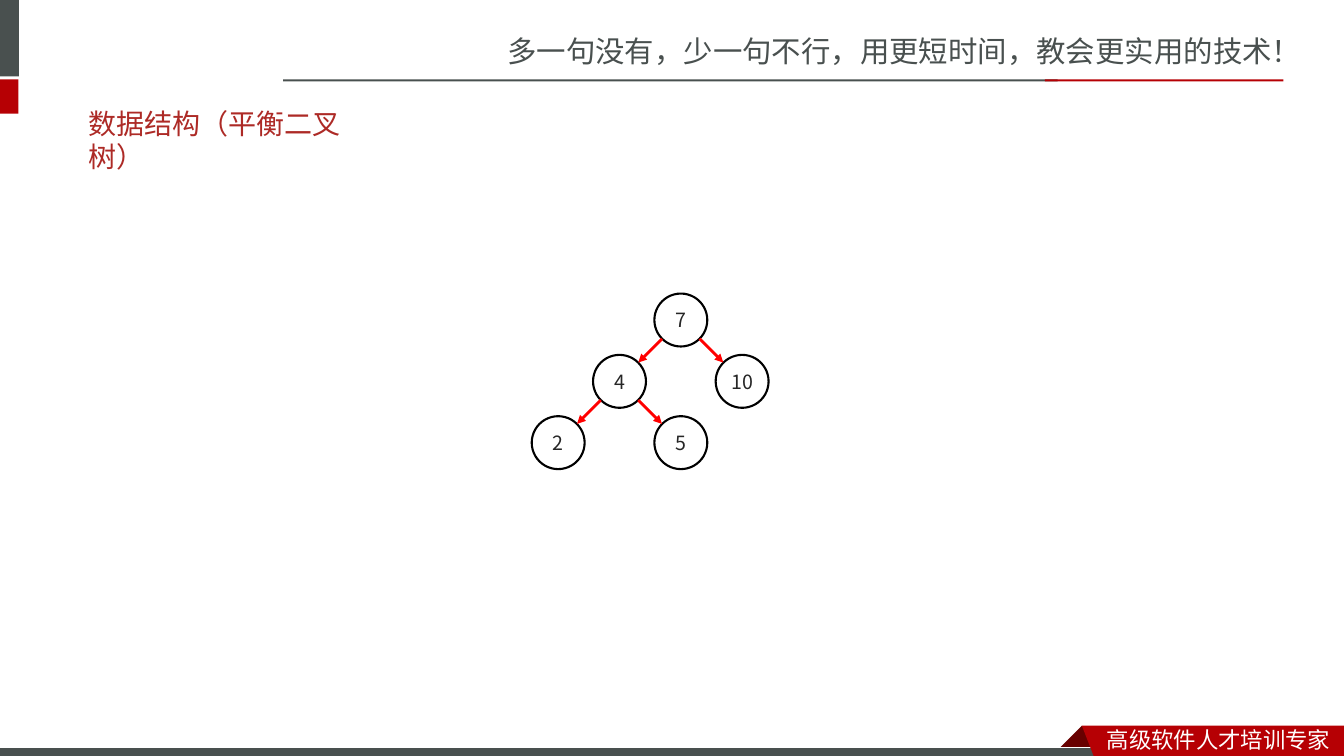
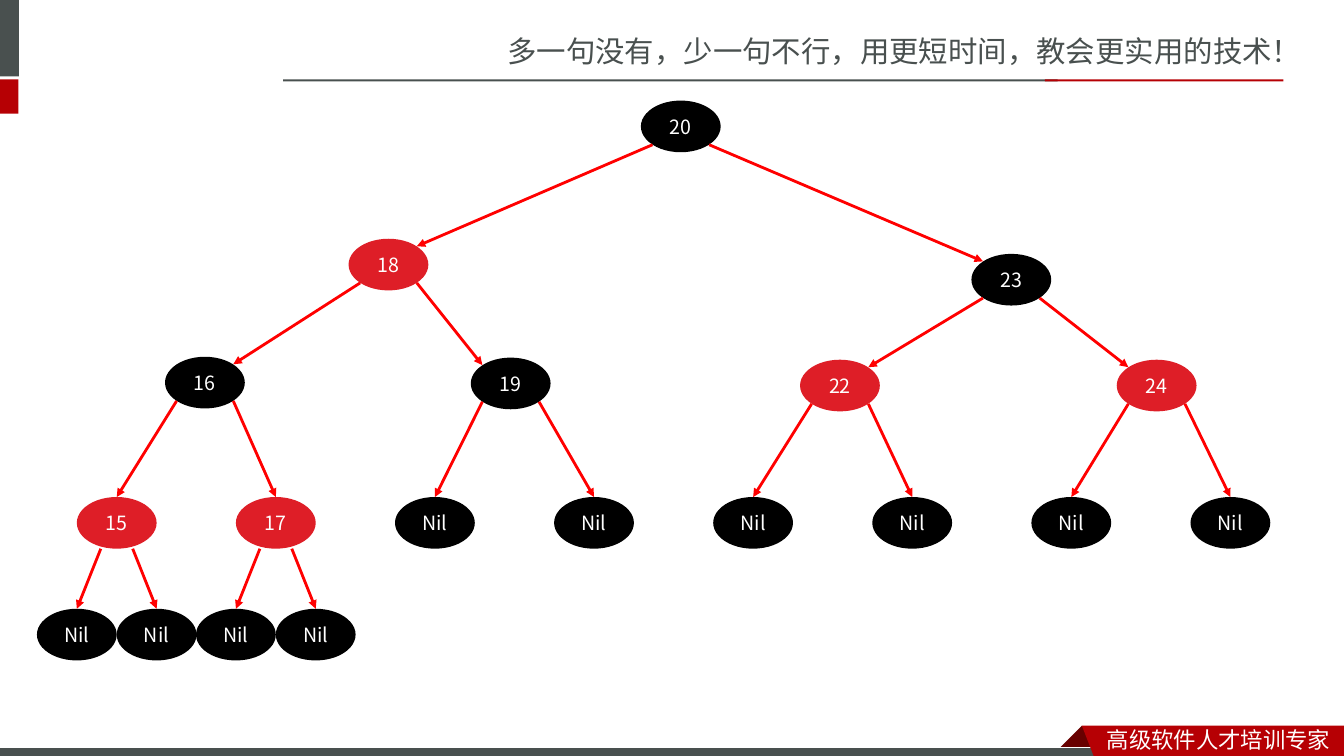
from dataclasses import dataclass
from typing import Optional

from lxml.etree import SubElement
from pptx import Presentation
from pptx.dml.color import RGBColor
from pptx.enum.shapes import MSO_CONNECTOR, MSO_SHAPE
from pptx.enum.text import MSO_ANCHOR, PP_ALIGN
from pptx.oxml.ns import qn
from pptx.util import Inches, Pt

W, H = Inches(13.33), Inches(7.5)
COLS, ROWS = 160, 90
CJK = "Noto Sans CJK SC"
DIAGONAL = (0.71, 0.71)  # point on an oval, as shares of its half axes
COLORS = {
    "slate": "49504F",
    "crimson": "B60004",
    "fold": "680000",
    "title": "AD2A26",
    "ink": "262626",
    "black": "000000",
    "white": "FFFFFF",
    "red": "DE1E27",
    "arrow": "FF0000",
}


@dataclass
class Node:
    """A tree node centred at grid position x, y."""
    label: str
    x: float
    y: float
    fill: Optional[str] = "black"
    children: tuple = ()
    exit: tuple = DIAGONAL
    enter_top: bool = False


@dataclass
class NodeStyle:
    w: float
    h: float
    text: str
    line: Optional[str] = None


def cx(cols):
    return round(W * cols / COLS)


def cy(rows):
    return round(H * rows / ROWS)


def rgb(name):
    return RGBColor.from_string(COLORS[name])


def paint(sp, fill=None, line=None, width=0.75):
    sp.shadow.inherit = False
    if fill:
        sp.fill.solid()
        sp.fill.fore_color.rgb = rgb(fill)
    else:
        sp.fill.background()
    if line:
        sp.line.color.rgb = rgb(line)
        sp.line.width = Pt(width)
    else:
        sp.line.fill.background()
    return sp


def write(tf, text, *, size, color, font=CJK, align=PP_ALIGN.LEFT,
          anchor=MSO_ANCHOR.TOP, wrap=True):
    tf.word_wrap = wrap
    tf.vertical_anchor = anchor
    p = tf.paragraphs[0]
    p.alignment = align
    r = p.add_run()
    r.text = text
    r.font.size = Pt(size)
    r.font.name = font
    r.font.color.rgb = rgb(color)
    SubElement(r.font._element, qn("a:ea")).set("typeface", CJK)


def add_text(s, x, y, w, h, text, **fmt):
    box = s.shapes.add_textbox(cx(x), cy(y), cx(w), cy(h))
    write(box.text_frame, text, **fmt)


def add_shape(s, kind, x, y, w, h, **look):
    return paint(s.shapes.add_shape(kind, cx(x), cy(y), cx(w), cy(h)), **look)


def add_polygon(s, points, fill):
    start, *rest = [(cx(x), cy(y)) for x, y in points]
    builder = s.shapes.build_freeform(*start)
    builder.add_line_segments(rest, close=True)
    paint(builder.convert_to_shape(), fill)


def add_arrow(s, x1, y1, x2, y2):
    line = s.shapes.add_connector(MSO_CONNECTOR.STRAIGHT,
                                  cx(x1), cy(y1), cx(x2), cy(y2))
    line.line.color.rgb = rgb("arrow")
    line.line.width = Pt(2)
    SubElement(line.line._get_or_add_ln(), qn("a:tailEnd")).set("type", "triangle")
    SubElement(line._element.spPr, qn("a:effectLst"))
    return line


def add_tree(s, node, style):
    """Draw a node, its subtrees and the arrows to them; return its oval."""
    oval = add_shape(s, MSO_SHAPE.OVAL, node.x - style.w / 2, node.y - style.h / 2,
                     style.w, style.h, fill=node.fill, line=style.line, width=1.5)
    write(oval.text_frame, node.label, size=14, color=style.text,
          align=PP_ALIGN.CENTER, anchor=MSO_ANCHOR.MIDDLE, wrap=False)
    half_w, half_h = style.w / 2, style.h / 2
    for side, child in zip((-1, 1), node.children):
        target = add_tree(s, child, style)
        dx, dy = (0, 1) if child.enter_top else DIAGONAL
        arrow = add_arrow(s, node.x + side * node.exit[0] * half_w,
                          node.y + node.exit[1] * half_h,
                          child.x - side * dx * half_w, child.y - dy * half_h)
        if child.enter_top:
            arrow.end_connect(target, 0)
    return oval


def add_frame(s):
    """Draw the header, side marks and footer that every slide carries."""
    add_text(s, 59.2, 3.35, 100.8, 5.6,
             "多一句没有，少一句不行，用更短时间，教会更实用的技术！",
             size=21, color="slate")
    for x, y, w, h, fill in (
        (-0.7, 0, 2.95, 9.1, "slate"),
        (-0.7, 9.45, 2.9, 4.1, "crimson"),
        (33.7, 9.45, 92.2, 0.25, "slate"),
        (124.4, 9.45, 28.4, 0.25, "crimson"),
    ):
        add_shape(s, MSO_SHAPE.RECTANGLE, x, y, w, h, fill=fill)
    add_polygon(s, [(128.8, 86.4), (131.4, 89.1), (126.1, 89.1)], "fold")
    add_shape(s, MSO_SHAPE.RECTANGLE, -0.1, 88.95, 132, 1.4,
              fill="slate", line="white")
    add_polygon(s, [(128.8, 86.4), (160, 86.4), (160, 90), (130.2, 90)], "crimson")
    add_text(s, 130.6, 85.8, 29.4, 4.4, "高级软件人才培训专家",
             size=16, color="white")


def balanced_tree():
    x, y, step = 81.05, 38.1, 7.3

    def at(label, col, level, *children):
        return Node(label, x + col * step, y + level * step, None, children)

    return at("7", 0, 0,
              at("4", -1, 1, at("2", -2, 2), at("5", 0, 2)),
              at("10", 1, 1))


def red_black_tree(style):
    def leaf(i):
        return Node("Nil", 13.9 + 18.94 * i, 62.25, enter_top=True)

    def red_parent(label, i):
        """Red node in leaf column i, over two touching Nil leaves."""
        place = leaf(i)
        nils = tuple(Node("Nil", place.x + side * style.w / 2, 75.55, enter_top=True)
                     for side in (-1, 1))
        return Node(label, place.x, place.y, "red", nils, (0.4, 1), True)

    n16 = Node("16", 24.4, 45.55, "black", (red_parent("15", 0), red_parent("17", 1)))
    n19 = Node("19", 60.8, 45.65, "black", (leaf(2), leaf(3)))
    n22 = Node("22", 100, 45.9, "red", (leaf(4), leaf(5)))
    n24 = Node("24", 137.7, 45.9, "red", (leaf(6), leaf(7)))
    n18 = Node("18", 46.25, 31.5, "red", (n16, n19))
    n23 = Node("23", 120.4, 33.3, "black", (n22, n24))
    return Node("20", 81.05, 15.05, "black", (n18, n23))


def new_slide(prs):
    s = prs.slides.add_slide(prs.slide_layouts[6])
    add_frame(s)
    return s


def main():
    prs = Presentation()
    prs.slide_width, prs.slide_height = W, H

    s = new_slide(prs)
    add_text(s, 9.35, 13.2, 38.2, 6.85, "数据结构（平衡二叉树）", size=20,
             color="title", font="Calibri", anchor=MSO_ANCHOR.MIDDLE)
    add_tree(s, balanced_tree(), NodeStyle(6.3, 6.3, "ink", "black"))

    s = new_slide(prs)
    style = NodeStyle(9.5, 6.15, "white")
    add_tree(s, red_black_tree(style), style)

    prs.save("out.pptx")


if __name__ == "__main__":
    main()
